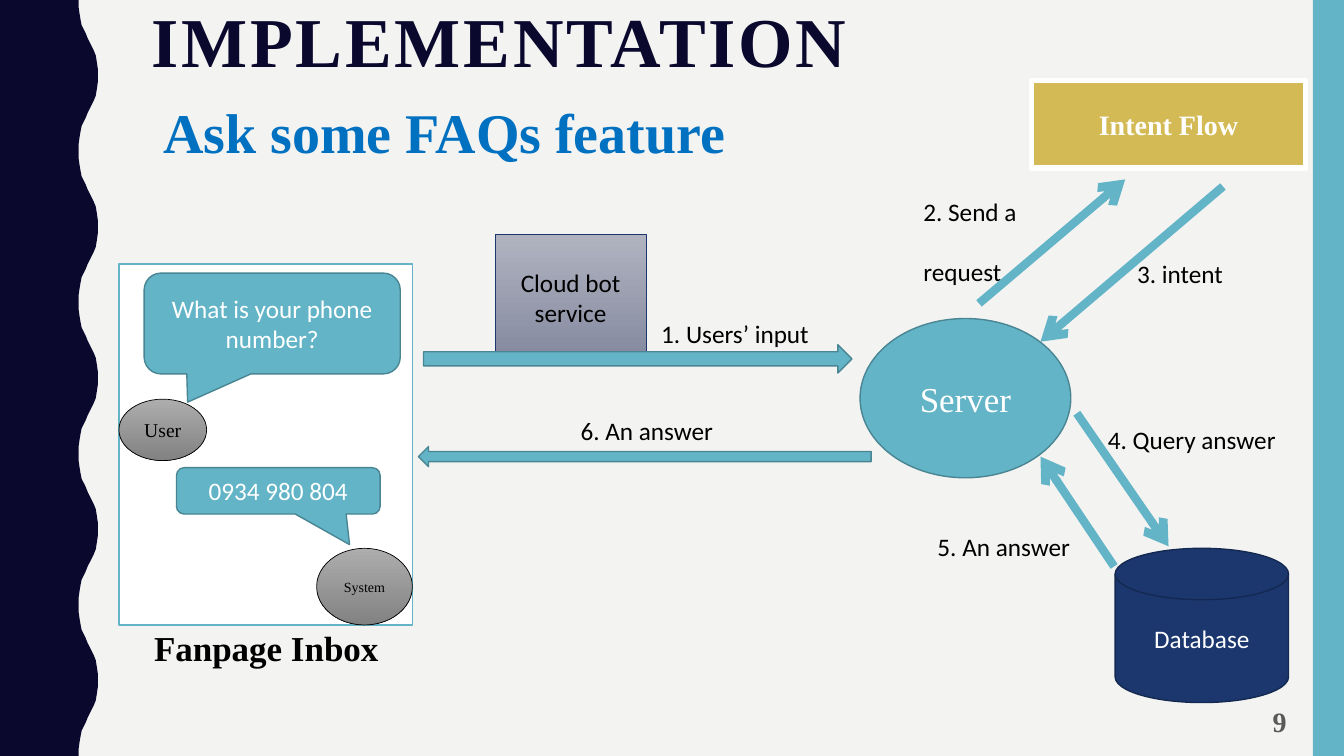
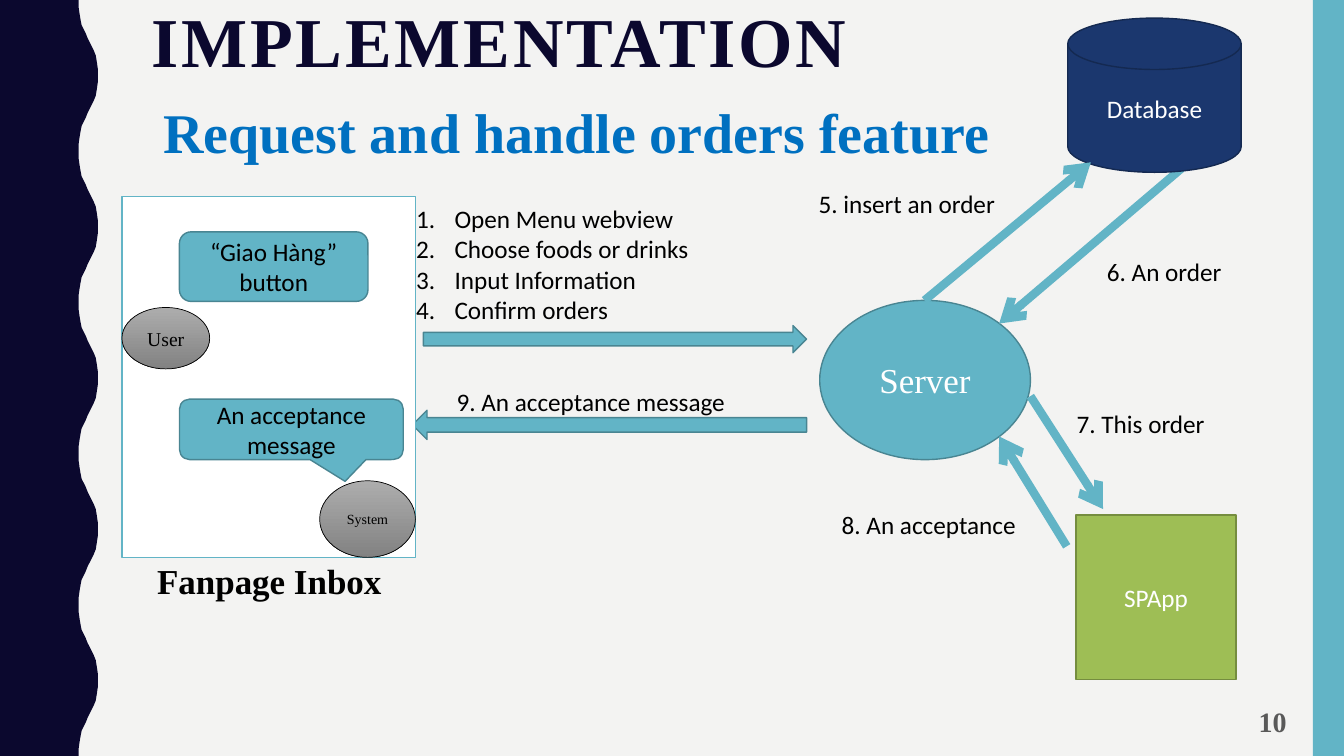
import collections

import pptx
import pptx.dml.color
import pptx.enum.shapes
import pptx.enum.text
import pptx.oxml.ns
import pptx.util
from lxml import etree

Inches = pptx.util.Inches
Pt = pptx.util.Pt
qn = pptx.oxml.ns.qn
kind = pptx.enum.shapes.MSO_SHAPE
straight = pptx.enum.shapes.MSO_CONNECTOR.STRAIGHT
align = pptx.enum.text.PP_ALIGN
anchor = pptx.enum.text.MSO_ANCHOR

SERIF, SANS = "Times New Roman", "Calibri"
PAPER, NAVY, TEAL, EDGE, BLUE = "F3F3F2", "0B082E", "62B4C6", "498592", "0070C0"
WHITE, BLACK, GREY = "FFFFFF", "000000", "595959"
SILVER, STEEL = ("ADADAD", "828282"), ("B0B3BF", "8489A0")

Font = collections.namedtuple("Font", "face size ink bold", defaults=(False,))
Look = collections.namedtuple("Look", "form fill edge thick font")


def rgb(code):
    return pptx.dml.color.RGBColor.from_string(code)


def write(frame, text, font, side=align.LEFT, level=anchor.TOP):
    frame.word_wrap = True
    frame.vertical_anchor = level
    frame.text = text
    for para in frame.paragraphs:
        para.alignment = side
        para.font.name = font.face
        para.font.size = Pt(font.size)
        para.font.bold = font.bold
        para.font.color.rgb = rgb(font.ink)


head = Font(SERIF, 50, NAVY, True)
number = Font(SERIF, 20, GREY, True)
dark = Font(SANS, 18, BLACK)
light = Font(SANS, 18, WHITE)

notes = {
    "topic": Font(SERIF, 40, BLUE, True),
    "name": Font(SERIF, 25, BLACK, True),
    "label": dark,
    "split": dark,
    "steps": dark,
}
looks = {
    "server": Look(kind.OVAL, TEAL, EDGE, 1, Font(SERIF, 25, WHITE)),
    "flow": Look(kind.RECTANGLE, "D3BA55", WHITE, 4, Font(SERIF, 20, WHITE, True)),
    "data": Look(kind.FLOWCHART_MAGNETIC_DISK, "1B376E", "142951", 1, light),
    "bot": Look(kind.FLOWCHART_PROCESS, STEEL, "1B376E", 0.5, dark),
    "app": Look(kind.FLOWCHART_PROCESS, "9EBE55", "758D3F", 1, light),
    "right": Look(kind.RIGHT_ARROW, TEAL, EDGE, 1, light),
    "left": Look(kind.LEFT_ARROW, TEAL, EDGE, 1, light),
    "inbox": Look(kind.ACTION_BUTTON_CUSTOM, WHITE, TEAL, 1, dark),
    "user": Look(kind.FLOWCHART_CONNECTOR, SILVER, BLACK, 0.5, Font(SERIF, 14, BLACK)),
    "system": Look(kind.FLOWCHART_CONNECTOR, SILVER, BLACK, 0.5, Font(SERIF, 10, BLACK)),
    "say": Look(kind.ROUNDED_RECTANGULAR_CALLOUT, TEAL, EDGE, 1, light),
    "reply": Look(kind.ROUNDED_RECTANGULAR_CALLOUT, TEAL, EDGE, 1, dark),
    "button": Look(kind.ROUNDED_RECTANGLE, TEAL, EDGE, 1, dark),
}

Page = collections.namedtuple("Page", "count topic inbox user flow chat")
plans = [
    Page(
        count=9,
        topic="Ask some FAQs feature",
        inbox=(1.18, 2.62),
        user=3.96,
        flow=[
            ("server", "Server", 8.53, 3.16, 2.09, 1.58),
            ("flow", "Intent Flow", 10.23, 0.8, 2.72, 0.87),
            ("split", "2. Send a\nrequest", 9.06, 1.9, 1.4, 0.71),
            ("label", "3. intent", 11.18, 2.51, 1.1, 0.4),
            ("link", "", 12.13, 1.85, 10.32, 3.39),
            ("data", "Database", 11.06, 5.44, 1.72, 1.53),
            ("link", "", 10.68, 4.1, 11.59, 5.42),
            ("bot", "Cloud bot service", 4.91, 2.33, 1.5, 1.24),
            ("label", "1. Users’ input", 6.46, 3.11, 2.02, 0.4),
            ("right", "", 4.2, 3.42, 4.25, 0.28),
            ("label", "4. Query answer", 10.89, 4.16, 2.12, 0.4),
            ("link", "", 9.71, 3.01, 11.16, 1.78),
            ("link", "", 11.05, 5.62, 10.32, 4.53),
            ("label", "5. An answer", 9.2, 5.22, 1.66, 0.4),
            ("left", "", 4.15, 4.43, 4.49, 0.2),
            ("label", "6. An answer", 5.66, 4.07, 1.66, 0.4),
        ],
        chat=[
            ("say", "What is your phone number?", 1.43, 2.71, 2.54, 1, -0.33, 0.78),
            ("say", "0934 980 804", 1.75, 4.64, 2.02, 0.46, 0.35, 1.16),
        ],
    ),
    Page(
        count=10,
        topic="Request and handle orders feature",
        inbox=(1.21, 1.95),
        user=3.05,
        flow=[
            ("server", "Server", 8.13, 2.98, 2.09, 1.58),
            ("label", "5. insert an order", 8.02, 1.82, 2.36, 0.4),
            ("label", "6. An order", 10.88, 2.49, 1.44, 0.4),
            ("link", "", 11.72, 1.67, 9.91, 3.21),
            ("data", "Database", 10.59, 0.18, 1.72, 1.53),
            ("link", "", 10.22, 3.93, 10.94, 5.05),
            ("steps", "Open Menu webview\nChoose foods or drinks\nInput Information\nConfirm orders",
             4.03, 1.97, 3.58, 1.31),
            ("right", "", 4.2, 3.23, 3.8, 0.27),
            ("label", "7. This order", 10.58, 4, 1.61, 0.4),
            ("link", "", 9.17, 2.98, 10.82, 1.61),
            ("link", "", 10.58, 5.42, 9.91, 4.33),
            ("label", "8. An acceptance", 8.25, 5, 2.14, 0.4),
            ("left", "", 4.09, 4.07, 3.91, 0.29),
            ("label", "9. An acceptance message", 4.43, 3.78, 3.23, 0.4),
            ("app", "SPApp", 10.67, 5.11, 1.59, 1.63),
        ],
        chat=[
            ("reply", "An acceptance message", 1.78, 3.96, 2.22, 0.6, 0.24, 0.86),
            ("button", "“Giao Hàng” button", 1.78, 2.3, 1.87, 0.69),
        ],
    ),
]

deck = pptx.Presentation()
deck.slide_width = Inches(13.33)
deck.slide_height = Inches(7.5)
base = deck.slide_layouts[5]
base.background.fill.solid()
base.background.fill.fore_color.rgb = rgb(PAPER)
slides = [deck.slides.add_slide(base) for plan in plans]

rise = [(78, 0), (78, 7), (79, 14), (80, 20), (81, 25), (83, 29), (85, 33), (87, 38),
        (89, 42), (91, 46), (93, 50), (95, 55), (96, 61), (97, 68), (97, 75)]
period = 2 * rise[-1][1]
fall = [(x, period - y) for x, y in reversed(rise[:-1])]
curve = [(x, y + period * turn) for turn in range(5) for x, y in rise + fall]
pen = slides[0].shapes.build_freeform(0, 0, Inches(0.01))
pen.add_line_segments(curve + [(0, 750)])
wave = pen.convert_to_shape()
band = slides[0].shapes.add_shape(
    kind.RECTANGLE, Inches(13.02), 0, Inches(0.31), Inches(7.5))
for rank, (part, tone) in enumerate([(wave, NAVY), (band, TEAL)]):
    part.shadow.inherit = False
    part.fill.solid()
    part.fill.fore_color.rgb = rgb(tone)
    part.line.fill.background()
    part.element.find(".//" + qn("p:cNvPr")).set("id", str(20 + rank))
    base.shapes.element.insert(2 + rank, part.element)

for slide, plan in zip(slides, plans):
    shapes = slide.shapes
    title = shapes.title
    title.left, title.top = Inches(1.4), Inches(0.02)
    title.width, title.height = Inches(11.13), Inches(1)
    write(title.text_frame, "IMPLEMENTATION", head)
    title.text_frame.paragraphs[0].line_spacing = 0.9
    title.element.find(".//" + qn("a:r")).get_or_add_rPr().set("spc", "200")

    left, top = plan.inbox
    items = [
        ("topic", plan.topic, 1.38, 0.92, 8.83, 0.77),
        *plan.flow,
        ("name", "Fanpage Inbox", left + 0.25, top + 3.55, 2.54, 0.52),
        ("inbox", "", left, top, 2.91, 3.58),
        ("user", "User", left, plan.user, 0.87, 0.61),
        *plan.chat,
        ("system", "System", left + 1.96, top + 2.82, 0.95, 0.76),
    ]
    for role, text, *place in items:
        area = [Inches(size) for size in place[:4]]
        tip = place[4:]
        if role == "link":
            link = shapes.add_connector(straight, *area)
            link.line.color.rgb = rgb(TEAL)
            link.line.width = Pt(6)
            stroke = link.element.find(".//" + qn("a:ln"))
            etree.SubElement(stroke, qn("a:tailEnd"), type="arrow")
            etree.SubElement(link.element.spPr, qn("a:effectLst"))
        elif role in notes:
            note = shapes.add_textbox(*area)
            write(note.text_frame, text, notes[role])
            if role == "topic":
                note.text_frame.margin_left = Inches(0.24)
            elif role == "split":
                note.text_frame.paragraphs[0].space_after = Pt(21)
            elif role == "steps":
                for props in note.element.iter(qn("a:pPr")):
                    props.set("marL", str(Inches(0.38)))
                    props.set("indent", str(-Inches(0.38)))
                    props.insert(0, etree.Element(qn("a:buAutoNum"), type="arabicPeriod"))
        else:
            look = looks[role]
            shape = shapes.add_shape(look.form, *area)
            shape.shadow.inherit = False
            if isinstance(look.fill, tuple):
                shape.fill.gradient()
                shape.fill.gradient_angle = 270
                for stop, tone in zip(shape.fill.gradient_stops, look.fill):
                    stop.color.rgb = rgb(tone)
            else:
                shape.fill.solid()
                shape.fill.fore_color.rgb = rgb(look.fill)
            shape.line.color.rgb = rgb(look.edge)
            shape.line.width = Pt(look.thick)
            for axis, value in enumerate(tip):
                shape.adjustments[axis] = value
            if text:
                write(shape.text_frame, text, look.font, align.CENTER, anchor.MIDDLE)

    foot = shapes.add_textbox(Inches(12.17), Inches(6.81), Inches(0.69), Inches(0.69))
    write(foot.text_frame, str(plan.count), number, align.RIGHT, anchor.MIDDLE)

deck.save("out.pptx")
